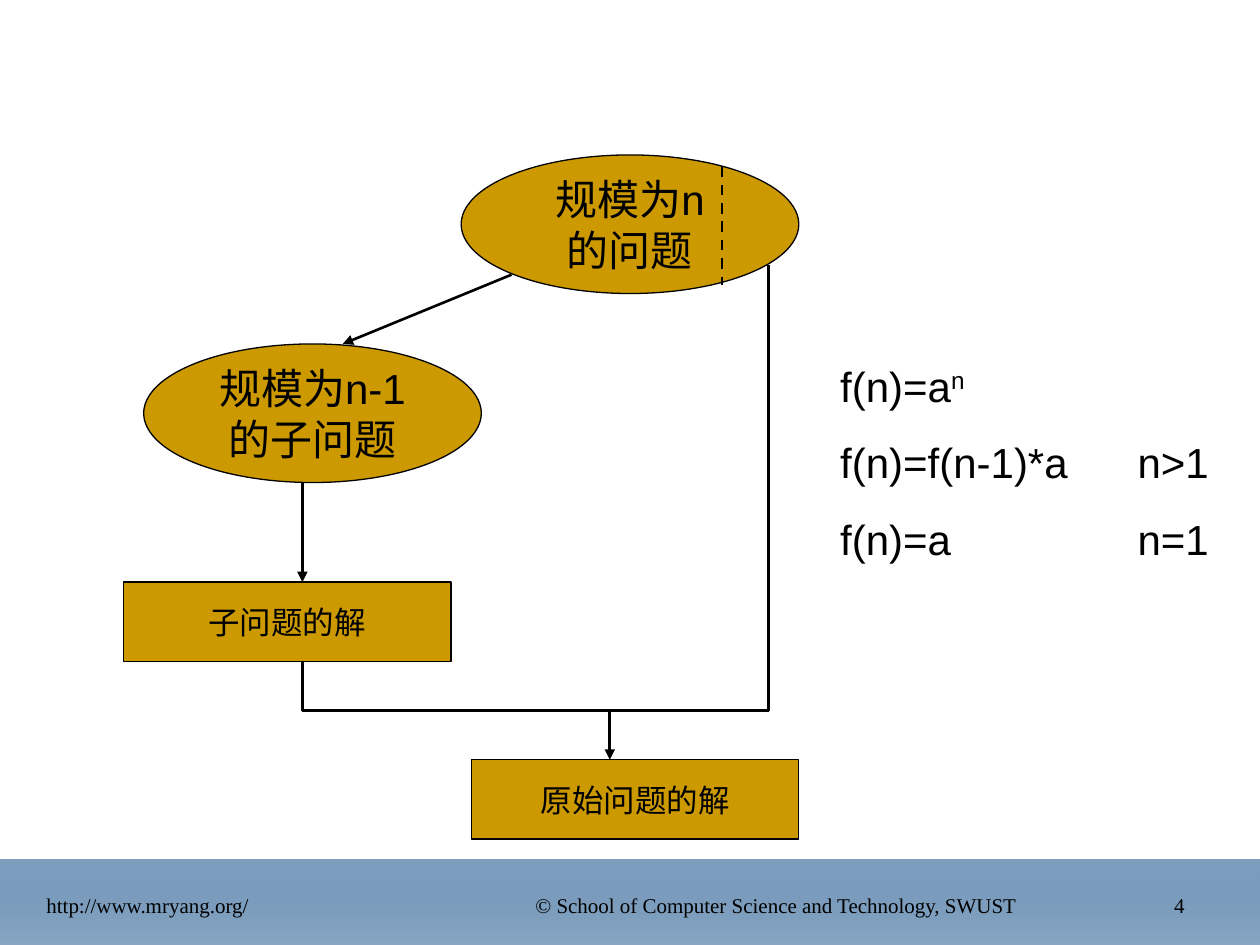
from dataclasses import dataclass

from lxml import etree
from pptx import Presentation
from pptx.dml.color import RGBColor
from pptx.enum import dml, shapes, text
from pptx.oxml.ns import qn
from pptx.util import Inches, Pt

BLACK, GOLD = "000000", "CC9900"
SANS, SERIF = "Arial", "Times New Roman"
LEFT, CENTER, RIGHT = text.PP_ALIGN.LEFT, text.PP_ALIGN.CENTER, text.PP_ALIGN.RIGHT
ELLIPSE, RECT = shapes.MSO_SHAPE.OVAL, shapes.MSO_SHAPE.RECTANGLE


@dataclass
class Node:
    kind: int
    left: float
    top: float
    lines: tuple[str, ...]


@dataclass
class Line:
    x1: float
    y1: float
    x2: float
    y2: float
    arrow: bool = False
    dashed: bool = False


@dataclass
class Footer:
    left: float
    width: float
    words: str
    align: int


# Width, height and text size of each kind of node
NODE_STYLE = {ELLIPSE: (2.68, 1.1, 24), RECT: (2.6, 0.63, 18)}

NODES = [
    Node(ELLIPSE, 3.66, 1.23, ("规模为n", "的问题")),
    Node(ELLIPSE, 1.14, 2.73, ("规模为n-1", "的子问题")),
    Node(RECT, 0.98, 4.62, ("子问题的解",)),
    Node(RECT, 3.74, 6.03, ("原始问题的解",)),
]

# Columns of the two branches and the level where they join
SUB_X, REST_X, RESULT_X, JOIN_Y = 2.4, 6.1, 4.84, 5.64
LINES = [
    Line(5.73, 1.32, 5.73, 2.26, dashed=True),
    Line(4.06, 2.18, 2.72, 2.73, arrow=True),
    Line(SUB_X, 3.83, SUB_X, 4.62, arrow=True),
    Line(REST_X, 2.1, REST_X, JOIN_Y),
    Line(SUB_X, 5.25, SUB_X, JOIN_Y),
    Line(SUB_X, JOIN_Y, REST_X, JOIN_Y),
    Line(RESULT_X, JOIN_Y, RESULT_X, 6.03, arrow=True),
]

FOOTERS = [
    Footer(0.27, 2.99, "http://www.mryang.org/", LEFT),
    Footer(3.4, 5.52, "© School of Computer Science and Technology, SWUST", CENTER),
    Footer(9.1, 0.4, "4", RIGHT),
]

# Each formula is a list of (text, raised) runs
FORMULAS = [
    [("f(n)=a", False), ("n", True)],
    [("f(n)=f(n-1)*a\tn>1", False)],
    [("f(n)=a\tn=1", False)],
]


def rgb(value: str) -> RGBColor:
    return RGBColor.from_string(value)


def box(left: float, top: float, width: float, height: float) -> tuple:
    return Inches(left), Inches(top), Inches(width), Inches(height)


def add_run(p, words: str, size: float, font: str = SANS):
    r = p.add_run()
    r.text = words
    r.font.size, r.font.name = Pt(size), font
    r.font.color.rgb = rgb(BLACK)
    return r


def paragraph(tf, index: int, align: int = LEFT):
    p = tf.paragraphs[0] if index == 0 else tf.add_paragraph()
    p.alignment = align
    return p


def add_band(s) -> None:
    sp = s.shapes.add_shape(RECT, *box(0, 6.82, 10, 0.68))
    sp.shadow.inherit = False
    sp.line.fill.background()
    sp.fill.gradient()
    sp.fill.gradient_angle = 270
    stops = sp.fill.gradient_stops
    for stop, color, position in zip(stops, ("7D9EBE", "336699"), (0, 1)):
        stop.color.rgb, stop.position = rgb(color), position
    last = sp._element.spPr.findall(".//" + qn("a:srgbClr"))[-1]
    etree.SubElement(last, qn("a:alpha"), val="57000")


def add_footer(s, footer: Footer) -> None:
    tf = s.shapes.add_textbox(*box(footer.left, 6.83, footer.width, 0.5)).text_frame
    tf.word_wrap = True
    tf.vertical_anchor = text.MSO_ANCHOR.BOTTOM
    add_run(paragraph(tf, 0, footer.align), footer.words, 12, SERIF)


def add_node(s, node: Node) -> None:
    width, height, size = NODE_STYLE[node.kind]
    sp = s.shapes.add_shape(node.kind, *box(node.left, node.top, width, height))
    sp.shadow.inherit = False
    sp.fill.solid()
    sp.fill.fore_color.rgb = rgb(GOLD)
    sp.line.color.rgb = rgb(BLACK)
    sp.line.width = Pt(0.75)
    tf = sp.text_frame
    tf.word_wrap = False
    tf.vertical_anchor = text.MSO_ANCHOR.MIDDLE
    for i, words in enumerate(node.lines):
        add_run(paragraph(tf, i, CENTER), words, size)


def add_line(s, line: Line) -> None:
    ends = (Inches(v) for v in (line.x1, line.y1, line.x2, line.y2))
    c = s.shapes.add_connector(shapes.MSO_CONNECTOR.STRAIGHT, *ends)
    c.line.color.rgb = rgb(BLACK)
    c.line.width = Pt(1.5)
    if line.dashed:
        c.line.dash_style = dml.MSO_LINE.DASH
    if line.arrow:
        etree.SubElement(c.line._get_or_add_ln(), qn("a:tailEnd"), type="triangle")
    etree.SubElement(c._element.spPr, qn("a:effectLst"))


def add_formulas(s) -> None:
    tf = s.shapes.add_textbox(*box(6.57, 2.81, 3.23, 1.72)).text_frame
    tf.word_wrap = True
    for i, runs in enumerate(FORMULAS):
        p = paragraph(tf, i)
        if i:
            p.space_before = Pt(15)
        # Conditions line up at one tab stop
        tabs = etree.SubElement(p._p.get_or_add_pPr(), qn("a:tabLst"))
        etree.SubElement(tabs, qn("a:tab"), pos=str(Inches(2.36)), algn="l")
        for words, raised in runs:
            r = add_run(p, words, 24)
            if raised:
                r.font._element.set("baseline", "30000")


def main() -> None:
    prs = Presentation()
    prs.slide_width, prs.slide_height = Inches(10), Inches(7.5)
    s = prs.slides.add_slide(prs.slide_layouts[6])

    # Footer band
    add_band(s)
    for footer in FOOTERS:
        add_footer(s, footer)

    # Decrease-by-one diagram
    for node in NODES:
        add_node(s, node)
    for line in LINES:
        add_line(s, line)

    # Recurrence
    add_formulas(s)
    prs.save("out.pptx")


if __name__ == "__main__":
    main()
